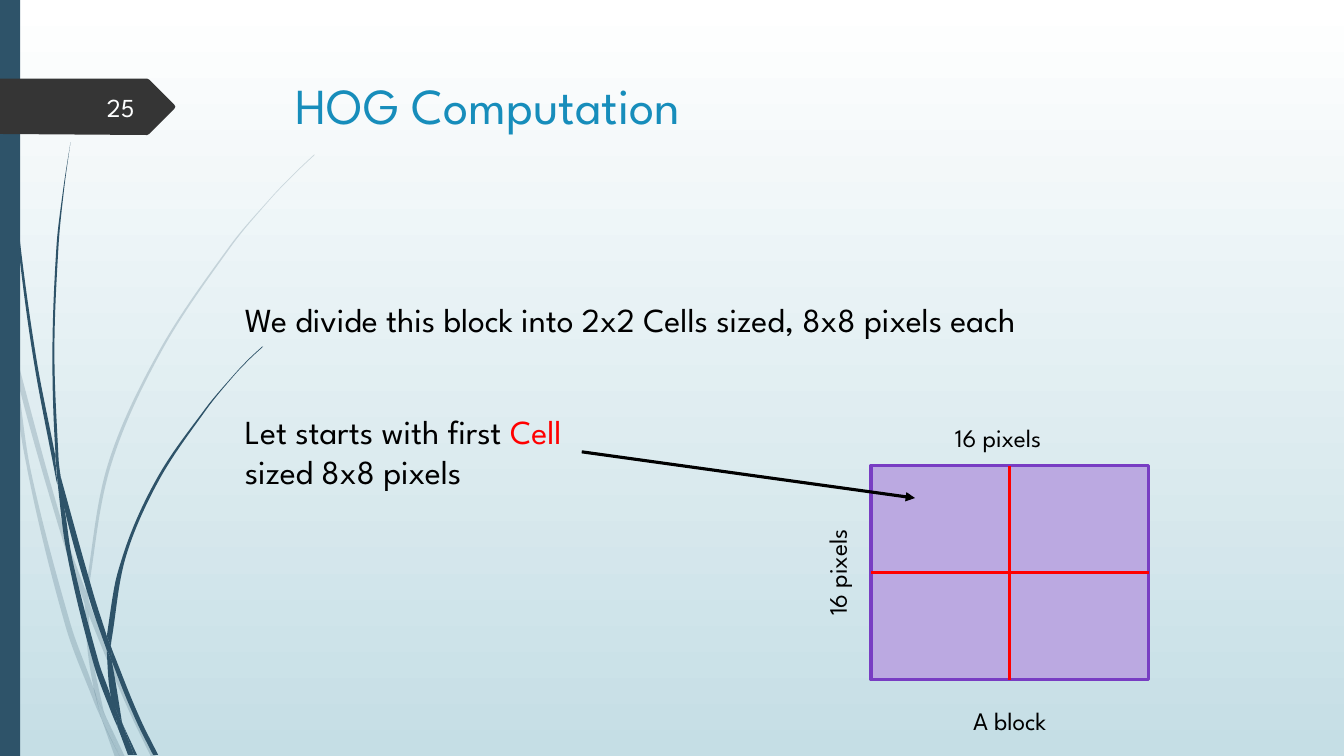
from math import dist

from lxml import etree
from pptx import Presentation
from pptx.dml.color import RGBColor
from pptx.enum.shapes import MSO_CONNECTOR, MSO_SHAPE
from pptx.enum.text import MSO_ANCHOR, MSO_AUTO_SIZE, PP_ALIGN
from pptx.oxml.ns import qn
from pptx.util import Cm, Pt

STRAIGHT = MSO_CONNECTOR.STRAIGHT
RECTANGLE = MSO_SHAPE.RECTANGLE
TOP, MIDDLE = MSO_ANCHOR.TOP, MSO_ANCHOR.MIDDLE
GROW = MSO_AUTO_SIZE.SHAPE_TO_FIT_TEXT
LEFT, CENTER, RIGHT = PP_ALIGN.LEFT, PP_ALIGN.CENTER, PP_ALIGN.RIGHT
SIDE_TOP, SIDE_LEFT, SIDE_BOTTOM, SIDE_RIGHT = range(4)

FONT = "League Spartan"
NAVY, BLACK, RED = "2E5369", "000000", "FF0000"
WIDTH, HEIGHT = 33.87, 19.05
UNIT = Cm(0.0254)  # outline points are hundredths of an inch

# Each blade of grass is a pair of edges, walked as one closed loop.
FAINT_BLADES = [
    ([(11, 350), (9, 322), (0, 282)], [(0, 299), (10, 344)]),
    ([(14, 345), (17, 376), (58, 522), (84, 599)], [(85, 586), (62, 520), (14, 345)]),
    ([(88, 596), (92, 607), (127, 692), (155, 751)], [(150, 751), (123, 694), (88, 610)]),
    ([(105, 711), (124, 751)], [(119, 751)]),
    ([(11, 350), (28, 470), (65, 621), (92, 693), (101, 714)],
     [(99, 707), (93, 683), (70, 619), (31, 469), (17, 376), (11, 350)]),
    ([(84, 599), (87, 646), (93, 683), (96, 692), (105, 711)],
     [(103, 706), (91, 646), (88, 610), (88, 608)]),
    ([(88, 596), (88, 584), (110, 462), (160, 349), (229, 245), (268, 198), (290, 175), (312, 154)],
     [(312, 153), (289, 175), (268, 197), (228, 244), (158, 348), (107, 461), (85, 584), (85, 586)]),
    ([(101, 714), (114, 751)], [(119, 751)]),
    ([(88, 608), (88, 610), (88, 596)], [(85, 586), (84, 599)]),
    ([(96, 692), (93, 683), (99, 707), (101, 714), (119, 751)], [(105, 711)]),
]
STRONG_BLADES = [
    ([(3, 0), (4, 48), (7, 110), (17, 233), (33, 355), (56, 477), (57, 481)],
     [(55, 457), (55, 453), (36, 355), (19, 232), (8, 109), (5, 48), (4, 0)]),
    ([(60, 472), (64, 505), (88, 592), (106, 645)], [(106, 633), (106, 631), (93, 590), (60, 472)]),
    ([(110, 641), (113, 649), (136, 706), (157, 749)], [(152, 749), (132, 708), (111, 656)]),
    ([(57, 477), (68, 557), (93, 659), (111, 708), (117, 722)],
     [(116, 717), (110, 691), (98, 657), (72, 556), (64, 505), (57, 477)]),
    ([(60, 472), (58, 453), (54, 349), (58, 245), (63, 193), (70, 141)],
     [(70, 141), (62, 193), (56, 245), (52, 349), (55, 449), (60, 472)]),
    ([(122, 719), (136, 749)], [(133, 749)]),
    ([(57, 477), (64, 505), (60, 472)], [(55, 449), (55, 453)]),
    ([(110, 641), (111, 633), (125, 552), (158, 476), (205, 406), (231, 374), (245, 359), (261, 344)],
     [(260, 344), (245, 358), (231, 373), (204, 405), (156, 474), (122, 551), (106, 631)]),
    ([(117, 722), (127, 749)], [(131, 749)]),
    ([(106, 645), (110, 691), (116, 706), (122, 719)], [(121, 716), (111, 656), (109, 651)]),
    ([(106, 645), (109, 651), (111, 656), (110, 641)], [(106, 631), (106, 633)]),
    ([(116, 706), (110, 691), (116, 717), (117, 722), (130, 749)], [(133, 749), (122, 719)]),
]
BADGE = [(0, 78), (146, 78), (148, 79), (173, 104), (174, 106), (173, 108),
         (148, 133), (146, 134), (0, 133)]


def colour(code):
    return RGBColor.from_string(code)


def edge_handles(edge):
    """Return the two Bezier handles of each segment of a smooth edge."""
    arms = {}
    for i, (a, b, c) in enumerate(zip(edge, edge[1:], edge[2:]), start=1):
        before, after = dist(a, b), dist(b, c)
        slope = [(r - p) / (before + after) / 3 for p, r in zip(a, c)]
        arms[i] = ([q - s * before for q, s in zip(b, slope)],
                   [q + s * after for q, s in zip(b, slope)])
    handles = []
    for i in range(len(edge) - 1):
        first = arms[i][1] if i in arms else arms.get(i + 1, [edge[i]])[0]
        second = arms[i + 1][0] if i + 1 in arms else first
        handles.append((first, second))
    return handles


def add_outline(shapes, points, fill):
    (start_x, start_y), *rest = [(x * UNIT, y * UNIT) for x, y in points]
    builder = shapes.build_freeform(start_x, start_y)
    builder.add_line_segments(rest, close=True)
    shape = builder.convert_to_shape()
    paint(shape, fill)
    return shape


def add_blade(shapes, edges, opacity):
    """Outline a blade, then bend its straight segments into curves."""
    one_edge, other_edge = edges
    shape = add_outline(shapes, one_edge + other_edge, NAVY)
    handles = edge_handles(one_edge) + [None] + edge_handles(other_edge)
    segments = list(shape._element.iter(qn("a:lnTo")))
    for segment, pair in zip(segments, handles):
        if pair:
            segment.tag = qn("a:cubicBezTo")
            for place, (x, y) in enumerate(pair):
                point = etree.Element(qn("a:pt"), x=str(round(x * UNIT - shape.left)),
                                      y=str(round(y * UNIT - shape.top)))
                segment.insert(place, point)
    if opacity < 100:
        tone = shape.fill._xPr.find(".//" + qn("a:srgbClr"))
        etree.SubElement(tone, qn("a:alpha"), val=str(opacity * 1000))


def paint(shape, fill, line=None):
    shape.shadow.inherit = False
    shape.fill.solid()
    shape.fill.fore_color.rgb = colour(fill)
    if line:
        shape.line.color.rgb = colour(line)
        shape.line.width = Pt(2.25)
    else:
        shape.line.fill.background()


def write(shape, spans, size, align=LEFT, anchor=TOP):
    """Fill the shape with one paragraph of (text, colour) spans."""
    frame = shape.text_frame
    frame.word_wrap = True
    frame.vertical_anchor = anchor
    para = frame.paragraphs[0]
    para.alignment = align
    for text, code in spans:
        span = para.add_run()
        span.text = text
        span.font.name = FONT
        span.font.size = Pt(size)
        span.font.color.rgb = colour(code)


def add_text(page, box, spans, size, align=LEFT, anchor=TOP):
    shape = page.shapes.add_textbox(*map(Cm, box))
    write(shape, spans, size, align, anchor)
    shape.text_frame.auto_size = GROW
    return shape


def add_line(page, start, end, code):
    line = page.shapes.add_connector(STRAIGHT, *map(Cm, (*start, *end)))
    line.line.color.rgb = colour(code)
    line.line.width = Pt(2.25)
    etree.SubElement(line._element.spPr, qn("a:effectLst"))
    return line


def add_backdrop(page):
    fill = page.background.fill
    fill.gradient()
    fill.gradient_angle = 270
    for stop, code in zip(fill.gradient_stops, ("FFFFFF", "C5DEE5")):
        stop.color.rgb = colour(code)
    for blades, opacity in ((FAINT_BLADES, 20), (STRONG_BLADES, 100)):
        grass = page.shapes.add_group_shape()
        for edges in blades:
            add_blade(grass.shapes, edges, opacity)
    paint(page.shapes.add_shape(RECTANGLE, 0, 0, Cm(0.51), Cm(HEIGHT)), NAVY)
    add_outline(page.shapes, BADGE, "353535")


def add_heading(page, box):
    title = page.shapes.title
    title.left, title.top, title.width, title.height = map(Cm, box)
    write(title, [("HOG Computation", "178DBB")], 36)


def add_block(page, box):
    """Draw the block, its four cells and the labels around it."""
    left, top, width, height = box
    block = page.shapes.add_shape(RECTANGLE, *map(Cm, box))
    paint(block, "BBA9E1", "783DC3")
    mid_x, mid_y = left + width / 2, top + height / 2
    for start, end, start_side, end_side in (
            ((mid_x, top), (mid_x, top + height), SIDE_TOP, SIDE_BOTTOM),
            ((left, mid_y), (left + width, mid_y), SIDE_LEFT, SIDE_RIGHT)):
        divider = add_line(page, start, end, RED)
        divider.begin_connect(block, start_side)
        divider.end_connect(block, end_side)
    for text, shift_x, shift_y, turn in (("16 pixels", -0.01, -1.21, 0),
                                         ("16 pixels", -4.07, 2.19, 270),
                                         ("A block", 0.28, 5.92, 0)):
        label = add_text(page, (left + shift_x, top + shift_y, 6.43, 1.02),
                         [(text, BLACK)], 18, CENTER)
        label.rotation = turn


def add_cell_note(page, box, target):
    """Write the note on the first cell, with an arrow to the target point."""
    left, top, width, height = box
    spans = [("Let starts with first ", BLACK), ("Cell ", RED), ("sized 8x8 pixels", BLACK)]
    note = add_text(page, box, spans, 24)
    arrow = add_line(page, (left + width, top + height / 2), target, BLACK)
    arrow.begin_connect(note, SIDE_RIGHT)
    etree.SubElement(arrow.line._get_or_add_ln(), qn("a:tailEnd"), type="triangle")


def main():
    deck = Presentation()
    deck.slide_width, deck.slide_height = Cm(WIDTH), Cm(HEIGHT)
    page = deck.slides.add_slide(deck.slide_layouts[5])
    add_backdrop(page)
    add_heading(page, (7.2, 1.73, 24.77, 3.56))
    add_text(page, (1.48, 2.18, 2.16, 1.02), [("25", "FEFFFF")], 18.5, RIGHT, MIDDLE)
    add_text(page, (5.92, 7.4, 22.02, 1.27),
             [("We divide this block into 2x2 Cells sized, 8x8 pixels each", BLACK)], 24)
    add_block(page, (21.95, 11.73, 7, 5.4))
    add_cell_note(page, (5.92, 10.23, 8.74, 2.31), (23.06, 12.55))
    deck.save("out.pptx")


if __name__ == "__main__":
    main()
